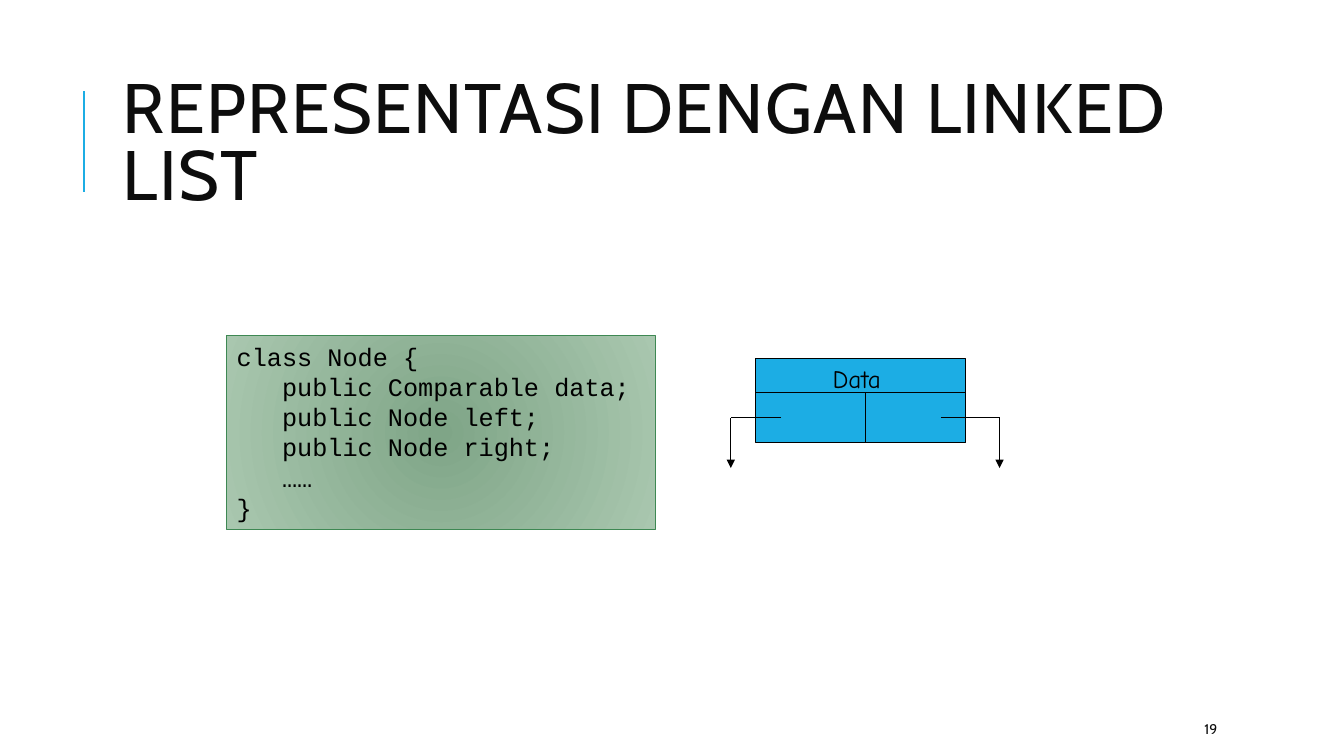
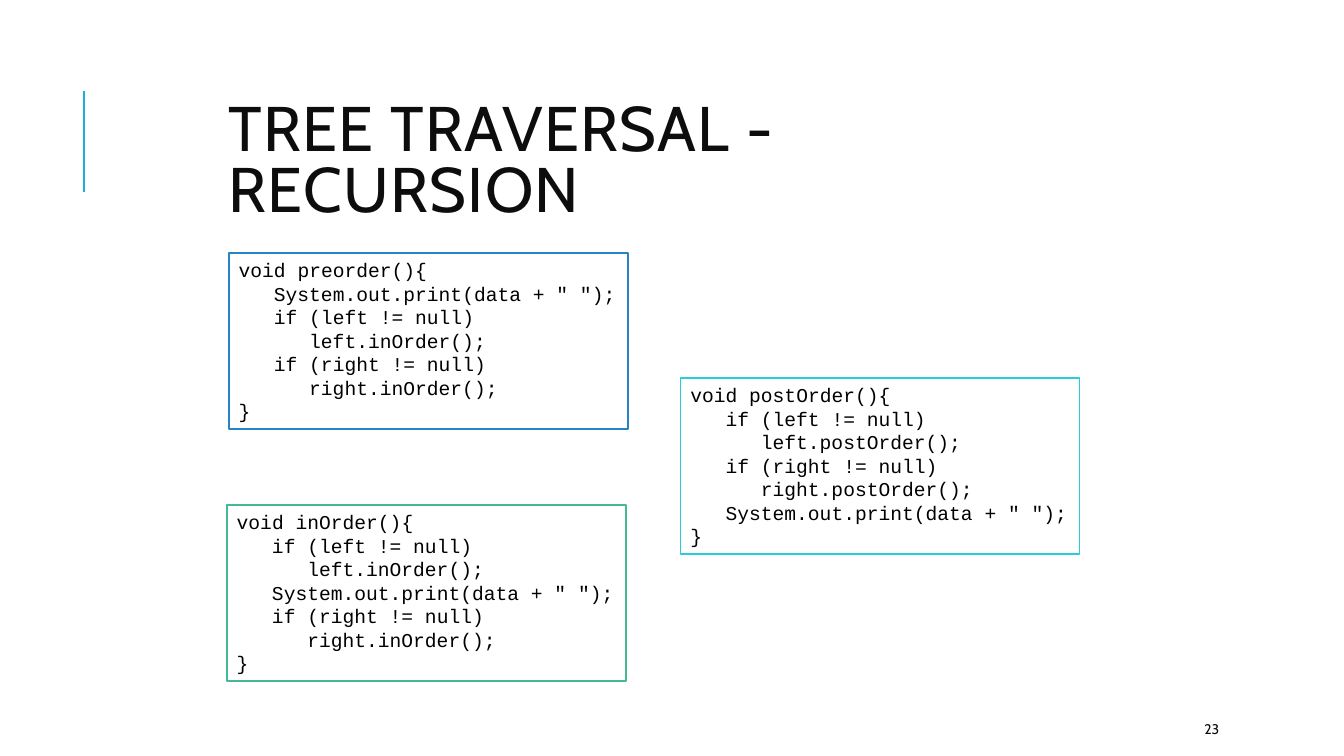
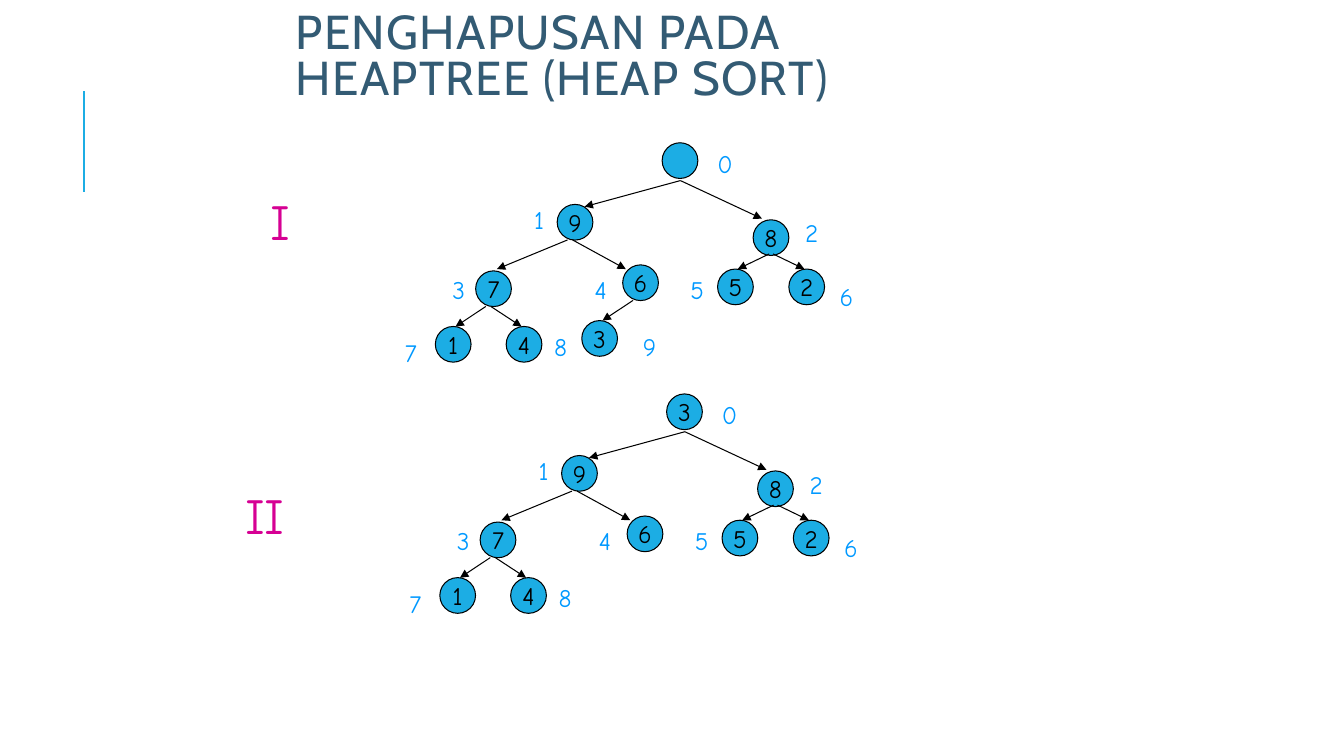
"""Build three slides on binary trees: node class, traversals and heap deletion."""
from dataclasses import dataclass

from lxml.etree import SubElement
from pptx import Presentation
from pptx.dml.color import RGBColor
from pptx.enum.shapes import MSO_CONNECTOR, MSO_SHAPE
from pptx.enum.text import MSO_ANCHOR as Anchor, MSO_AUTO_SIZE as AutoSize, PP_ALIGN as Align
from pptx.oxml.ns import qn
from pptx.util import Pt


@dataclass(frozen=True)
class Theme:
    heading: str = "Cabin"
    casual: str = "Comic Neue"
    mono: str = "Courier New"
    ink: str = "0D0D0D"
    black: str = "000000"
    white: str = "FFFFFF"
    accent: str = "1CADE4"
    slate: str = "335B74"
    index: str = "0099FF"
    step: str = "D60093"
    green: str = "3E8853"
    glow: tuple = ("7FA587", "A9C7AF")
    body: int = 18
    code: int = 14
    numeral: int = 36
    footer: int = 10
    hairline: float = 0.75
    frame: float = 1.25
    band: float = 1.5


THEME = Theme()

NODE_CLASS = [
    (0, "class Node {"),
    (1, "public Comparable data;"),
    (1, "public Node left;"),
    (1, "public Node right;"),
    (1, "……"),
    (0, "}"),
]

PRINT = [(1, 'System.out.print(data + " ");')]


def visit(side, method):
    """Return the code lines that recurse into one side."""
    return [(1, f"if ({side} != null)"), (2, f"{side}.{method}();")]


TRAVERSALS = [
    ("preorder", PRINT + visit("left", "inOrder") + visit("right", "inOrder"),
     (163.4, 180.7), "2683C6"),
    ("inOrder", visit("left", "inOrder") + PRINT + visit("right", "inOrder"),
     (162, 360.7), "42BA97"),
    ("postOrder", visit("left", "postOrder") + visit("right", "postOrder") + PRINT,
     (486, 270), "27CED7"),
]

HEAP_NODES = [
    {"circle": (473, 102), "label": (505.4, 102.2)},
    {"circle": (398, 146), "label": (374.4, 142.6), "arrow": (486, 129, 417.6, 147.6)},
    {"circle": (538, 157), "label": (568, 152), "arrow": (486, 129, 544.3, 156.2)},
    {"circle": (339.8, 193.5), "label": (316, 192.2), "arrow": (405.4, 171.4, 355, 192.2)},
    {"circle": (444.8, 189.2), "label": (417.6, 192.2), "arrow": (409, 171.4, 447, 192.2)},
    {"circle": (512.6, 192.2), "label": (486, 192.2), "arrow": (549.4, 181.4, 527, 192.2)},
    {"circle": (563.5, 192.2), "label": (592.6, 197.3), "arrow": (552.2, 181.4, 574.6, 192.2)},
    {"circle": (311, 233.2), "label": (282.2, 237.6), "arrow": (347, 218.9, 325.4, 233.3)},
    {"circle": (361.6, 233.2), "label": (388.8, 233.3), "arrow": (350.6, 218.9, 372.6, 233.3)},
    {"circle": (415.6, 229), "label": (452.2, 233.3), "arrow": (452.2, 214.6, 430.4, 229)},
]

HEAPS = [
    ("I", (186, 132), ["", "9", "8", "7", "6", "5", "2", "1", "4", "3"], (0, 0)),
    ("II", (168, 342), ["3", "9", "8", "7", "6", "5", "2", "1", "4"], (3.2, 179.4)),
]


def color(code):
    """Turn a hex code into a colour."""
    return RGBColor.from_string(code)


def write(frame, lines, *, size, font, ink=THEME.black, align=Align.LEFT,
          anchor=Anchor.TOP, spacing=None, tracking=None, wrap=True):
    """Fill a text frame with plain lines or (depth, line) pairs."""
    frame.word_wrap = wrap
    frame.auto_size = AutoSize.NONE
    frame.vertical_anchor = anchor
    for number, line in enumerate(lines):
        depth, words = line if isinstance(line, tuple) else (0, line)
        para = frame.paragraphs[0] if number == 0 else frame.add_paragraph()
        para.alignment = align
        if spacing:
            para.line_spacing = spacing
        if depth:
            para._p.get_or_add_pPr().set("marL", str(Pt(depth * 1.8 * size)))
        span = para.add_run()
        span.text = words
        span.font.size = Pt(size)
        span.font.name = font
        span.font.color.rgb = color(ink)
        if tracking:
            span.font._element.set("spc", str(tracking))


def add_label(page, words, box, **style):
    """Add a text box holding one line."""
    label = page.shapes.add_textbox(*map(Pt, box))
    write(label.text_frame, [words], **style)


def add_block(page, kind, box, *, fill, outline=THEME.black, width=THEME.hairline):
    """Add a preset shape with a flat fill or a two-colour radial fill."""
    block = page.shapes.add_shape(kind, *map(Pt, box))
    block.shadow.inherit = False
    if isinstance(fill, tuple):
        block.fill.gradient()
        for stop, position, code in zip(block.fill.gradient_stops, (0, 1), fill):
            stop.position = position
            stop.color.rgb = color(code)
        gradient = block.element.spPr.find(qn("a:gradFill"))
        gradient.remove(gradient.find(qn("a:lin")))
        radial = SubElement(gradient, qn("a:path"), {"path": "circle"})
        SubElement(radial, qn("a:fillToRect"), dict.fromkeys("ltrb", "100000"))
    else:
        block.fill.solid()
        block.fill.fore_color.rgb = color(fill)
    block.line.color.rgb = color(outline)
    block.line.width = Pt(width)
    return block


def add_line(page, ends, *, ink=THEME.black, width=THEME.hairline, arrow=False):
    """Add a straight line, with an arrowhead at its end if asked."""
    line = page.shapes.add_connector(MSO_CONNECTOR.STRAIGHT, *map(Pt, ends))
    line.line.color.rgb = color(ink)
    line.line.width = Pt(width)
    properties = line.element.spPr
    if arrow:
        SubElement(properties.find(qn("a:ln")), qn("a:tailEnd"), {"type": "triangle"})
    SubElement(properties, qn("a:effectLst"))
    return line


def add_page(deck, title, box, size, *, ink=THEME.ink, anchor=Anchor.MIDDLE, number=None):
    """Add a slide with its title and page number."""
    page = deck.slides.add_slide(deck.slide_layouts[5])
    heading = page.shapes.title
    heading.left, heading.top, heading.width, heading.height = map(Pt, box)
    write(heading.text_frame, [title], size=size, font=THEME.heading, ink=ink,
          anchor=anchor, spacing=0.8, tracking=100)
    if number:
        add_label(page, number, (853.2, 509.8, 76.3, 21.6), size=THEME.footer,
                  font=THEME.heading, ink=THEME.ink, anchor=Anchor.MIDDLE)
    return page


def add_band(deck, page):
    """Put the accent line on the layout that all slides share."""
    band = add_line(page, (59.8, 136.8, 59.8, 64.8), ink=THEME.accent, width=THEME.band)
    page.slide_layout.shapes.element.append(band.element)


def add_code(page, lines, box, size, **look):
    """Add a framed code listing."""
    block = add_block(page, MSO_SHAPE.RECTANGLE, box, **look)
    write(block.text_frame, lines, size=size, font=THEME.mono)


def add_record(page):
    """Draw the node record with its data field and two pointers."""
    left, top, width, height = 540, 256.3, 150, 60
    row, middle, pointer, tip = 280.3, 618, 298.3, 334.3
    add_block(page, MSO_SHAPE.RECTANGLE, (left, top, width, height), fill=THEME.accent)
    add_line(page, (left, row, left + width, row))
    add_line(page, (middle, row, middle, top + height))
    for start, end in ((558, 522), (672, 714)):
        add_line(page, (start, pointer, end, pointer))
        add_line(page, (end, pointer, end, tip), arrow=True)
    add_label(page, "Data", (564, top, 96, 28.8), size=THEME.body,
              font=THEME.casual, align=Align.CENTER)


def add_heap(page, values, shift):
    """Draw a heap with its arrows, values and array indexes."""
    across, down = shift
    diameter = 25.5
    for index, (value, node) in enumerate(zip(values, HEAP_NODES)):
        if "arrow" in node:
            x1, y1, x2, y2 = node["arrow"]
            add_line(page, (x1 + across, y1 + down, x2 + across, y2 + down), arrow=True)
        left, top = node["circle"]
        circle = add_block(page, MSO_SHAPE.OVAL,
                           (left + across, top + down, diameter, diameter), fill=THEME.accent)
        if value:
            write(circle.text_frame, [value], size=THEME.body, font=THEME.casual,
                  align=Align.CENTER, anchor=Anchor.MIDDLE, wrap=False)
        left, top = node["label"]
        add_label(page, str(index), (left + across, top + down, 19.4, 28.8),
                  size=THEME.body, font=THEME.casual, ink=THEME.index)


def main():
    """Build and save the deck."""
    deck = Presentation()
    deck.slide_width, deck.slide_height = Pt(960), Pt(540)

    page = add_page(deck, "REPRESENTASI DENGAN LINKED LIST", (80.6, 46, 765.4, 118), 50,
                    number="19")
    add_band(deck, page)
    add_code(page, NODE_CLASS, (162, 240, 306, 138), THEME.body,
             fill=THEME.glow, outline=THEME.green)
    add_record(page)

    page = add_page(deck, "TREE TRAVERSAL - RECURSION", (156, 90, 648, 54), 45, number="23")
    for name, body, (left, top), outline in TRAVERSALS:
        lines = [(0, f"void {name}(){{"), *body, (0, "}")]
        add_code(page, lines, (left, top, 285.2, 126), THEME.code,
                 fill=THEME.white, outline=outline, width=THEME.frame)

    page = add_page(deck, "PENGHAPUSAN PADA HEAPTREE (HEAP SORT)", (204, 18, 528, 60), 34,
                    ink=THEME.slate, anchor=Anchor.BOTTOM)
    for numeral, corner, values, shift in HEAPS:
        add_heap(page, values, shift)
        add_label(page, numeral, (*corner, 108, 50.4), size=THEME.numeral,
                  font=THEME.casual, ink=THEME.step)

    deck.save("out.pptx")


if __name__ == "__main__":
    main()
